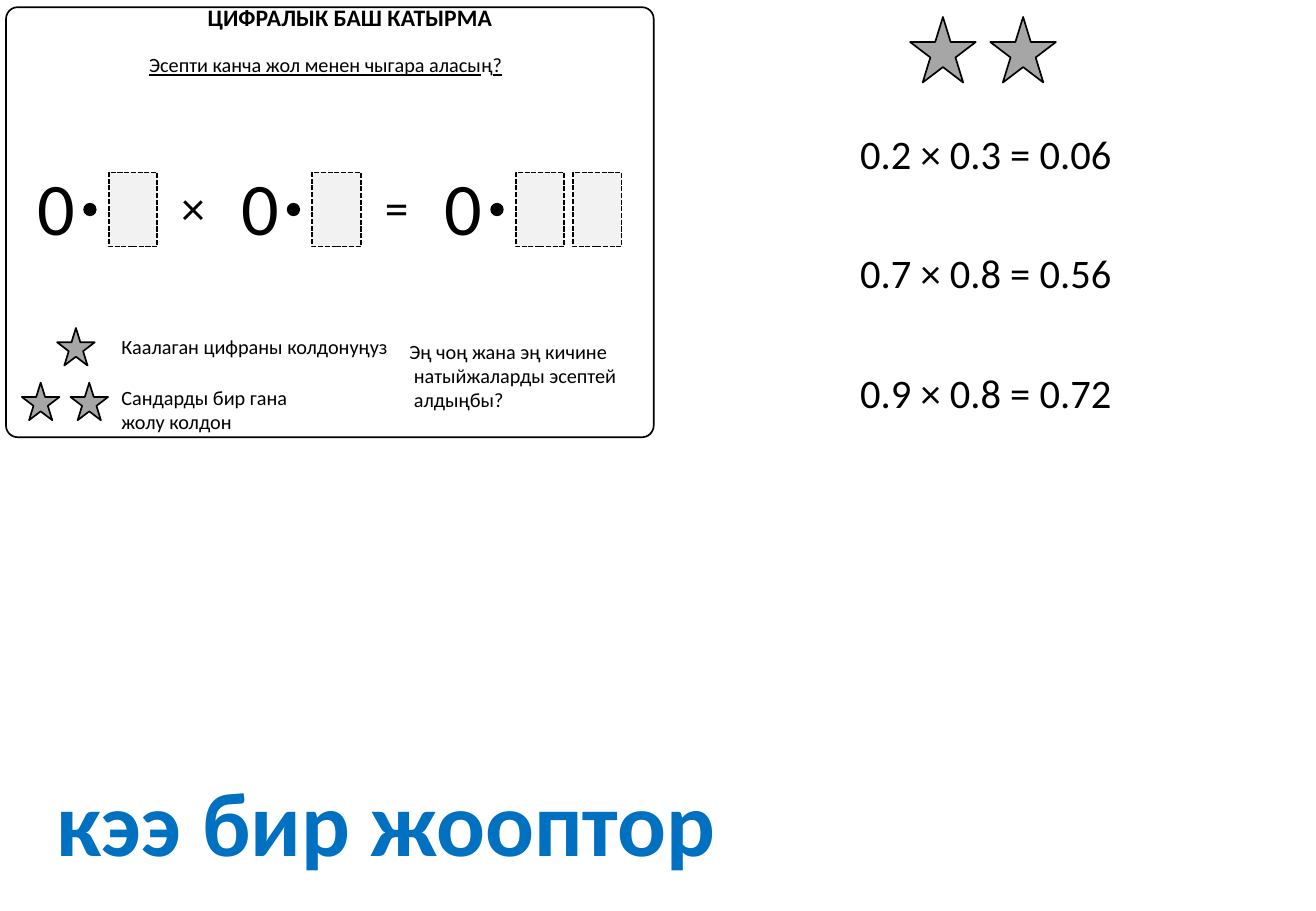
import pptx
import pptx.util
import pptx.dml.color
import pptx.enum.dml
import pptx.enum.shapes
import pptx.enum.text

RGBColor = pptx.dml.color.RGBColor
BLACK = RGBColor(0x00, 0x00, 0x00)
STAR_GREY = RGBColor(0xA6, 0xA6, 0xA6)
DIGIT_GREY = RGBColor(0xF2, 0xF2, 0xF2)
HEADING_BLUE = RGBColor(0x00, 0x70, 0xC0)

SHAPE = pptx.enum.shapes.MSO_SHAPE
CENTER = pptx.enum.text.PP_ALIGN.CENTER
FONT = "Calibri"

# Grid of square cells covering the slide
SLIDE_WIDTH = pptx.util.Inches(10.83)
SLIDE_HEIGHT = pptx.util.Inches(7.5)
COLUMN = SLIDE_WIDTH / 108.3
ROW = SLIDE_HEIGHT / 75

# Equation layout, in grid cells
NUMBER_LEFT, NUMBER_STEP = 2.1, 16.75
DIGIT_TOP, DIGIT_STEP = 14.2, 4.7


def place(left, top, width, height):
    return (round(left * COLUMN), round(top * ROW),
            round(width * COLUMN), round(height * ROW))


def add_figure(shapes, kind, box, fill=None, outlined=True, dashed=False):
    figure = shapes.add_shape(kind, *place(*box))
    figure.shadow.inherit = False
    if fill is None:
        figure.fill.background()
    else:
        figure.fill.solid()
        figure.fill.fore_color.rgb = fill
    if outlined:
        figure.line.color.rgb = BLACK
        figure.line.width = pptx.util.Pt(1)
    else:
        figure.line.fill.background()
    if dashed:
        figure.line.dash_style = pptx.enum.dml.MSO_LINE.SQUARE_DOT
    return figure


def add_run(paragraph, words, size, color=BLACK, bold=False, underline=False):
    run = paragraph.add_run()
    run.text = words
    run.font.name = FONT
    run.font.size = pptx.util.Pt(size)
    run.font.color.rgb = color
    run.font.bold = bold
    run.font.underline = underline


def add_label(shapes, box, size, *lines, align=None, indent=0, **style):
    """Each line is a paragraph; lines after the first may be indented."""
    label = shapes.add_textbox(*place(*box))
    frame = label.text_frame
    frame.word_wrap = False
    frame.auto_size = pptx.enum.text.MSO_AUTO_SIZE.SHAPE_TO_FIT_TEXT
    for number, line in enumerate(lines):
        paragraph = frame.add_paragraph() if number else frame.paragraphs[0]
        paragraph.alignment = align
        if number and indent:
            paragraph._p.get_or_add_pPr().set("marL", str(round(indent * COLUMN)))
        add_run(paragraph, line, size, **style)
    return frame


def add_star(shapes, left, top, size):
    add_figure(shapes, SHAPE.STAR_5_POINT, (left, top, size, size), STAR_GREY)


def add_decimal(shapes, left, digits):
    """Zero, decimal point and the empty boxes for the digits."""
    decimal = shapes.add_group_shape().shapes
    for digit in range(digits):
        add_figure(decimal, SHAPE.RECTANGLE,
                   (left + 6.85 + digit * DIGIT_STEP, DIGIT_TOP, 4, 6.1),
                   DIGIT_GREY, dashed=True)
    add_figure(decimal, SHAPE.OVAL, (left + 4.75, 16.7, 1.1, 1.1), BLACK, outlined=False)
    add_label(decimal, (left, 12.8, 5.1, 8.4), 44, "0")


def add_puzzle_card(shapes):
    card = add_figure(shapes, SHAPE.ROUNDED_RECTANGLE, (0.5, 0.6, 53.3, 35.4))
    card.adjustments[0] = 0.027

    # Title and question
    title = add_label(shapes, (16.1, 0.2, 25.6, 2.4), 14, "ЦИФРАЛЫК БАШ КАТЫРМА", bold=True)
    title.margin_top = title.margin_bottom = 0
    question = add_label(shapes, (11.1, 3.8, 31.4, 3), 12, align=CENTER).paragraphs[0]
    question.alignment = CENTER
    for words, underline in (("Эсепти канча жол менен чыгара аласы", True),
                             ("ң", False), ("?", True)):
        add_run(question, words, 12, underline=underline)

    # Equation
    for place_in_equation, digits in enumerate((1, 1, 2)):
        add_decimal(shapes, NUMBER_LEFT + place_in_equation * NUMBER_STEP, digits)
    for gap, sign in enumerate("×="):
        add_label(shapes, (13.9 + gap * NUMBER_STEP, DIGIT_TOP, 4, 5.7), 28, sign, align=CENTER)

    # Levels
    for left, top in ((4.7, 27), (1.8, 31.5), (5.8, 31.5)):
        add_star(shapes, left, top, 3.1)
    add_label(shapes, (9, 27, 24.2, 3), 12, "Каалаган цифраны колдонуңуз")
    add_label(shapes, (9, 31.2, 16.2, 5), 12, "Сандарды бир гана", "жолу колдон")
    add_label(shapes, (32.7, 27.4, 19.3, 7.1), 12, "Эң чоң жана эң кичине",
              "натыйжаларды эсептей", "алдыңбы?", indent=0.38)


def add_answers(shapes):
    stars = shapes.add_group_shape().shapes
    for left in (74.9, 81.5):
        add_star(stars, left, 1.4, 5.4)
    answers = ("0.2 × 0.3 = 0.06", "0.7 × 0.8 = 0.56", "0.9 × 0.8 = 0.72")
    for number, answer in enumerate(answers):
        add_label(shapes, (69.8, 10.1 + number * 9.85, 22.8, 5), 24, answer)
    add_label(shapes, (3.7, 62.5, 56.8, 10.1), 54, "кээ бир жооптор",
              color=HEADING_BLUE, bold=True)


def main():
    presentation = pptx.Presentation()
    presentation.slide_width = SLIDE_WIDTH
    presentation.slide_height = SLIDE_HEIGHT
    slide = presentation.slides.add_slide(presentation.slide_layouts[6])
    add_puzzle_card(slide.shapes)
    add_answers(slide.shapes)
    presentation.save("out.pptx")


if __name__ == "__main__":
    main()
